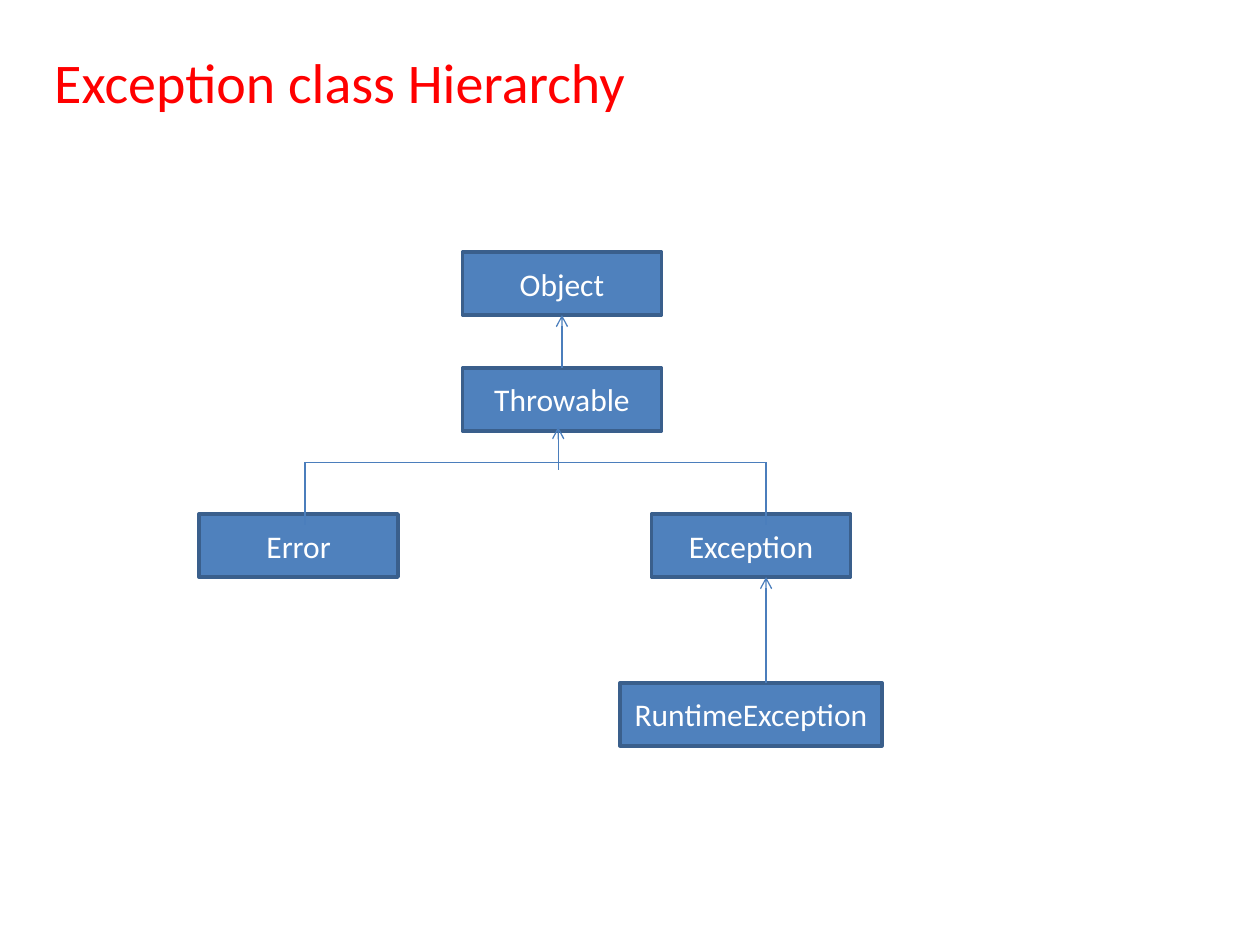
from lxml import etree
from pptx import Presentation
from pptx.dml.color import RGBColor
from pptx.enum.shapes import MSO_CONNECTOR, MSO_SHAPE
from pptx.enum.text import MSO_ANCHOR, MSO_AUTO_SIZE, PP_ALIGN
from pptx.oxml.ns import qn
from pptx.util import Inches, Pt

RECTANGLE = MSO_SHAPE.RECTANGLE
STRAIGHT = MSO_CONNECTOR.STRAIGHT
TOP, MIDDLE = MSO_ANCHOR.TOP, MSO_ANCHOR.MIDDLE
LEFT, CENTER = PP_ALIGN.LEFT, PP_ALIGN.CENTER
NO_FIT = MSO_AUTO_SIZE.NONE

COLORS = {"title": "FF0000", "fill": "4F81BD", "border": "3A5F8C",
          "link": "4B7EBC", "label": "FFFFFF"}
BOX_WIDTH, BOX_HEIGHT = 1.58, 0.5
CLASSES = [
    ("Object", 2.09, 0, BOX_WIDTH),
    ("Throwable", 2.09, 0.92, BOX_WIDTH),
    ("Error", 0, 2.08, BOX_WIDTH),
    ("Exception", 3.59, 2.08, BOX_WIDTH),
    ("RuntimeException", 3.34, 3.42, 2.08),
]
LINKS = [
    ((2.88, 0.92), (2.88, 0.5), True),
    ((0.84, 1.67), (4.5, 1.67), False),
    ((4.5, 1.67), (4.5, 2.17), False),
    ((0.84, 1.67), (0.84, 2.17), False),
    ((4.5, 3.42), (4.5, 2.58), True),
    ((2.85, 1.73), (2.85, 1.39), True),
]


def color(name):
    return RGBColor.from_string(COLORS[name])


def write_text(shape, text, size, color_name, align, anchor):
    frame = shape.text_frame
    frame.text = text
    frame_format = {"word_wrap": True, "auto_size": NO_FIT, "vertical_anchor": anchor}
    for name, value in frame_format.items():
        setattr(frame, name, value)
    para = frame.paragraphs[0]
    para.alignment = align
    font = para.runs[0].font
    for name, value in {"name": "Calibri", "size": Pt(size)}.items():
        setattr(font, name, value)
    font.color.rgb = color(color_name)


def place_title(page, left, top, width, height):
    title = page.shapes.title
    place = {"left": left, "top": top, "width": width, "height": height}
    for name, value in place.items():
        setattr(title, name, Inches(value))
    write_text(title, "Exception class Hierarchy", 32, "title", LEFT, TOP)


def add_class(page, label, left, top, width):
    box = page.shapes.add_shape(RECTANGLE, Inches(left), Inches(top),
                                Inches(width), Inches(BOX_HEIGHT))
    box.shadow.inherit = False
    box.fill.solid()
    box.fill.fore_color.rgb = color("fill")
    box.line.color.rgb = color("border")
    box.line.width = Pt(2)
    write_text(box, label, 18, "label", CENTER, MIDDLE)


def add_link(page, start, end, has_arrow):
    link = page.shapes.add_connector(STRAIGHT, *map(Inches, start + end))
    link.line.color.rgb = color("link")
    link.line.width = Pt(0.75)
    if has_arrow:
        etree.SubElement(link.line._get_or_add_ln(), qn("a:tailEnd"), type="arrow")
    etree.SubElement(link._element.spPr, qn("a:effectLst"))


def place_hierarchy(page, left, top):
    for label, x, y, width in CLASSES:
        add_class(page, label, left + x, top + y, width)
    for (x1, y1), (x2, y2), has_arrow in LINKS:
        add_link(page, (left + x1, top + y1), (left + x2, top + y2), has_arrow)


def main():
    deck = Presentation()
    deck.slide_width, deck.slide_height = Inches(10), Inches(7.5)
    page = deck.slides.add_slide(deck.slide_layouts.get_by_name("Title Only"))
    place_title(page, 0.33, 0.33, 6.33, 0.64)
    place_hierarchy(page, 1.58, 2)
    deck.save("out.pptx")


if __name__ == "__main__":
    main()
